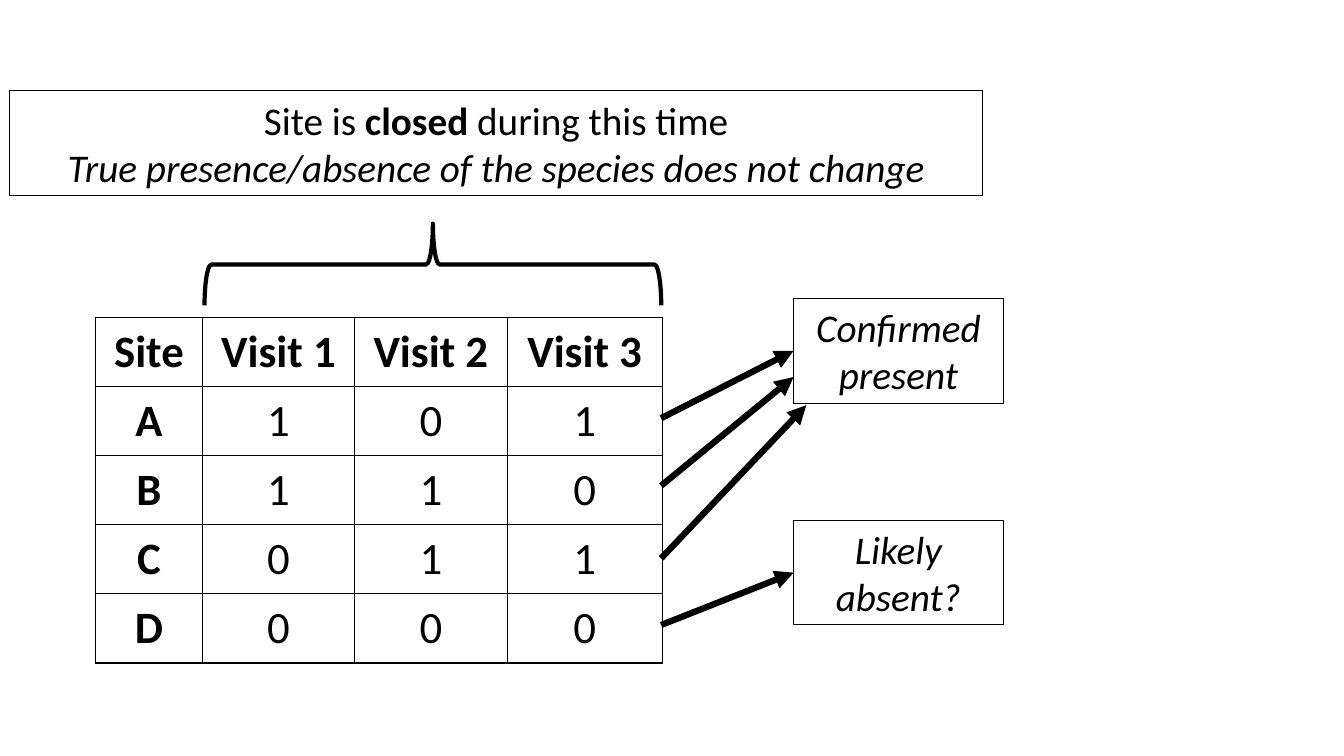
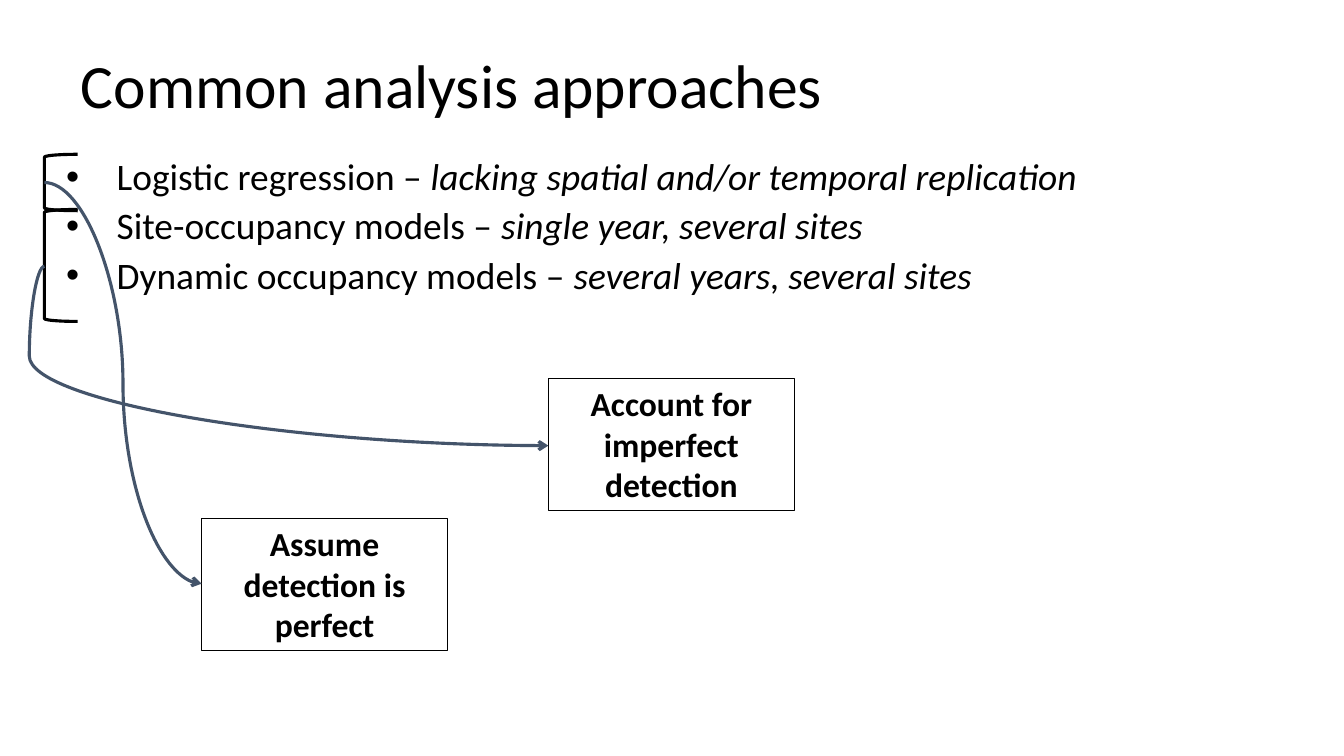
from lxml.etree import SubElement
from pptx import Presentation
from pptx.dml.color import RGBColor
from pptx.enum.shapes import MSO_CONNECTOR as Connector, MSO_SHAPE as Shape
from pptx.enum.text import MSO_ANCHOR as Anchor, PP_ALIGN as Align
from pptx.oxml import parse_xml
from pptx.oxml.ns import nsdecls, qn
from pptx.util import Cm, Pt

COLORS = {"ink": "000000", "curve": "44546A"}
FONT = "Calibri"
WIDE_INSETS = (0.34, 0.18)

VISITS = [
    ("Site", "Visit 1", "Visit 2", "Visit 3"),
    ("A", "1", "0", "1"),
    ("B", "1", "1", "0"),
    ("C", "0", "1", "1"),
    ("D", "0", "0", "0"),
]
VISIT_WIDTHS = (2.69, 3.84, 3.84, 3.91)
ROW_HEIGHT = 1.72

APPROACHES = [
    ("Logistic regression – ", "lacking spatial and/or temporal replication"),
    ("Site-occupancy models – ", "single year, several sites"),
    ("Dynamic occupancy models – ", "several years, several sites"),
]


def color(name):
    return RGBColor.from_string(COLORS[name])


def add_run(paragraph, text, size, bold=False, italic=False):
    run = paragraph.add_run()
    run.text = text
    font = run.font
    font.name, font.size = FONT, Pt(size)
    font.bold, font.italic = bold, italic
    font.color.rgb = color("ink")


def set_line(item, width, name="ink"):
    item.line.color.rgb = color(name)
    item.line.width = Pt(width)


def add_text_frame(slide, left, top, width, height, insets=None):
    """Add a wrapping text box; return it with its text frame."""
    box = slide.shapes.add_textbox(Cm(left), Cm(top), Cm(width), Cm(height))
    frame = box.text_frame
    frame.word_wrap = True
    if insets:
        frame.margin_left = frame.margin_right = Cm(insets[0])
        frame.margin_top = frame.margin_bottom = Cm(insets[1])
    return box, frame


def next_paragraph(frame, index):
    return frame.add_paragraph() if index else frame.paragraphs[0]


def add_label(slide, place, size, lines):
    """Add a framed, centred label; each line is a list of (text, style)."""
    box, frame = add_text_frame(slide, *place)
    set_line(box, 0.75)
    for index, line in enumerate(lines):
        paragraph = next_paragraph(frame, index)
        paragraph.alignment = Align.CENTER
        for text, style in line:
            add_run(paragraph, text, size, **style)


def add_title(slide, text):
    _, frame = add_text_frame(slide, 1.7, 0.64, 30.48, 3.18, WIDE_INSETS)
    frame.vertical_anchor = Anchor.MIDDLE
    paragraph = frame.paragraphs[0]
    paragraph.line_spacing = 0.9
    add_run(paragraph, text, 44)


def add_bullets(slide, items):
    _, frame = add_text_frame(slide, 1.12, 3.81, 31.6, 12.57, WIDE_INSETS)
    for index, (approach, setting) in enumerate(items):
        paragraph = next_paragraph(frame, index)
        paragraph.line_spacing = 0.9
        if index:
            paragraph.space_before = Pt(6.4)
        properties = paragraph._p.get_or_add_pPr()
        properties.set("marL", str(Cm(1.48)))
        properties.set("indent", str(Cm(-1.27)))
        SubElement(properties, qn("a:buFont"), typeface="Arial")
        SubElement(properties, qn("a:buChar"), char="•")
        add_run(paragraph, approach, 26.7)
        add_run(paragraph, setting, 26.7, italic=True)


def add_outline(slide, kind, place, width, rotation=0):
    """Add an unfilled brace or bracket."""
    outline = slide.shapes.add_shape(kind, *map(Cm, place))
    outline.shadow.inherit = False
    outline.fill.background()
    outline.rotation = rotation
    set_line(outline, width)


def add_arrow(slide, start, end, width, head, name="ink", bend=None):
    """Add an arrow; bend places the middle of a curve as a share of its width."""
    kind = Connector.STRAIGHT if bend is None else Connector.CURVE
    arrow = slide.shapes.add_connector(kind, *map(Cm, start + end))
    set_line(arrow, width, name)
    properties = arrow._element.spPr
    SubElement(properties.find(qn("a:ln")), qn("a:tailEnd"), type=head)
    SubElement(properties, qn("a:effectLst"))
    if bend is not None:
        guides = properties.find(qn("a:prstGeom")).get_or_add_avLst()
        SubElement(guides, qn("a:gd"), name="adj1", fmla=f"val {round(bend * 100000)}")


def set_borders(cell):
    properties = cell._tc.get_or_add_tcPr()
    for index, side in enumerate(("lnL", "lnR", "lnT", "lnB")):
        properties.insert(index, parse_xml(
            f'<a:{side} {nsdecls("a")} w="{Pt(1)}"><a:solidFill>'
            f'<a:srgbClr val="{COLORS["ink"]}"/></a:solidFill></a:{side}>'))


def add_visit_table(slide, left, top):
    table = slide.shapes.add_table(
        len(VISITS), len(VISIT_WIDTHS), Cm(left), Cm(top),
        Cm(sum(VISIT_WIDTHS)), Cm(ROW_HEIGHT * len(VISITS))).table
    table.first_row = table.horz_banding = False
    for column, width in zip(table.columns, VISIT_WIDTHS):
        column.width = Cm(width)
    for r, values in enumerate(VISITS):
        table.rows[r].height = Cm(ROW_HEIGHT)
        for c, value in enumerate(values):
            cell = table.cell(r, c)
            cell.fill.background()
            set_borders(cell)
            cell.vertical_anchor = Anchor.MIDDLE
            cell.margin_left = cell.margin_right = Cm(WIDE_INSETS[0])
            cell.margin_top = cell.margin_bottom = Cm(WIDE_INSETS[1])
            paragraph = cell.text_frame.paragraphs[0]
            paragraph.alignment = Align.CENTER
            add_run(paragraph, value, 32, bold=r == 0 or c == 0)


def build_closure_slide(slide):
    italic = {"italic": True}
    add_visit_table(slide, 2.41, 8)
    add_label(slide, (0.25, 2.29, 24.5, 2.64), 28, [
        [("Site is ", {}), ("closed", {"bold": True}), (" during this time", {})],
        [("True presence/absence of the species does not change", italic)],
    ])
    add_outline(slide, Shape.RIGHT_BRACE, (9.88, 0.91, 2.06, 11.51), 3, rotation=270)
    for top, verdict in ((7.52, "Confirmed present"), (13.11, "Likely absent?")):
        add_label(slide, (20, top, 5.28, 2.64), 28, [[(verdict, italic)]])
    for row_y, target in ((10.54, (20, 8.84)), (12.24, (20, 9.5)),
                          (14.07, (20.32, 10.21)), (15.75, (20, 14.43))):
        add_arrow(slide, (16.66, row_y), target, 4.5, "triangle")


def build_approaches_slide(slide):
    add_title(slide, "Common analysis approaches")
    add_bullets(slide, APPROACHES)
    for left, top, assumption in ((5.08, 13.06, "Assume detection is perfect"),
                                  (13.82, 9.53, "Account for imperfect detection")):
        add_label(slide, (left, top, 6.2, 3.33), 24, [[(assumption, {"bold": True})]])
    for top, height in ((3.89, 1.42), (5.28, 2.82)):
        add_outline(slide, Shape.LEFT_BRACKET, (1.12, top, 0.84, height), 2.25)
    for start_y, target, bend in ((4.6, (5.08, 14.71), 0.5),
                                  (6.71, (13.82, 11.23), -0.03)):
        add_arrow(slide, (1.12, start_y), target, 2.25, "arrow", "curve", bend)


def main():
    deck = Presentation()
    deck.slide_width, deck.slide_height = Cm(33.87), Cm(19.05)
    for build in (build_closure_slide, build_approaches_slide):
        build(deck.slides.add_slide(deck.slide_layouts[6]))
    deck.save("out.pptx")


if __name__ == "__main__":
    main()
